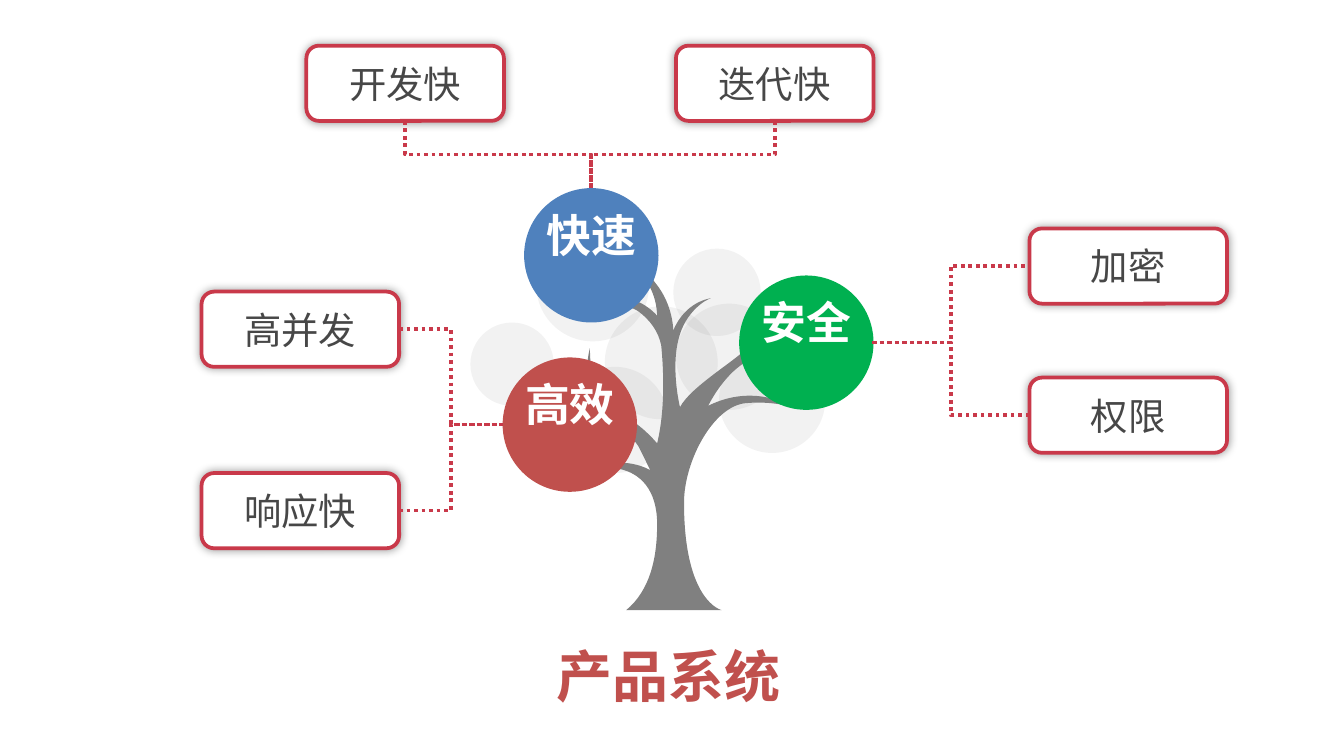
from lxml.etree import SubElement
from pptx import Presentation
from pptx.dml.color import RGBColor
from pptx.enum.dml import MSO_LINE_DASH_STYLE as Dash
from pptx.enum.shapes import MSO_CONNECTOR as Connector, MSO_SHAPE as Shape
from pptx.enum.text import MSO_ANCHOR as Anchor, PP_ALIGN as Align
from pptx.oxml.ns import qn
from pptx.util import Inches, Pt

WHITE = RGBColor(0xFF, 0xFF, 0xFF)
GRAY = RGBColor(0x80, 0x80, 0x80)
TEXT = RGBColor(0x47, 0x47, 0x47)
CRIMSON = RGBColor(0xC9, 0x39, 0x4A)
BLUE = RGBColor(0x4F, 0x81, 0xBD)
RED = RGBColor(0xC0, 0x50, 0x4D)
GREEN = RGBColor(0x00, 0xB0, 0x50)
FONT = "Noto Sans CJK SC"
BOX_WIDTH, BOX_HEIGHT, CIRCLE_SIZE = 1.47, 0.56, 1

# Pale foliage: left, top, size
LEAVES = [
    (3.99, 1.7, 0.84), (5.01, 1.85, 0.65), (4.5, 2.28, 0.84), (5.03, 2.26, 0.79),
    (5.35, 2.58, 0.79), (4.18, 2.73, 0.79), (3.5, 2.4, 0.62),
]

# Tree outline in hundredths of an inch: two control points and an end per curve
TREE_START = (466, 454)
TREE_CURVES = [
    (544, 454, 537, 454, 537, 454), (537, 454, 509, 448, 509, 374),
    (509, 343, 531, 302, 555, 300), (578, 298, 592, 304, 592, 304),
    (592, 304, 563, 284, 527, 302), (527, 302, 536, 283, 551, 272),
    (567, 260, 589, 259, 595, 260), (595, 260, 577, 254, 558, 263),
    (558, 263, 573, 252, 563, 224), (563, 224, 566, 249, 556, 259),
    (545, 270, 514, 288, 506, 303), (506, 303, 499, 275, 505, 252),
    (510, 232, 525, 223, 529, 222), (529, 222, 510, 224, 501, 246),
    (501, 246, 501, 227, 488, 211), (476, 194, 462, 191, 457, 190),
    (457, 190, 488, 201, 489, 235), (489, 235, 481, 225, 467, 222),
    (454, 219, 441, 222, 434, 220), (427, 219, 420, 213, 418, 210),
    (418, 210, 422, 219, 437, 224), (450, 228, 464, 225, 474, 231),
    (484, 238, 490, 247, 492, 257), (493, 267, 496, 301, 489, 330),
    (489, 330, 481, 320, 470, 313), (459, 305, 448, 295, 444, 289),
    (440, 283, 439, 268, 439, 259), (439, 259, 433, 280, 442, 293),
    (442, 293, 422, 283, 399, 295), (399, 295, 426, 289, 442, 299),
    (459, 310, 470, 325, 475, 332), (479, 340, 484, 350, 484, 350),
    (484, 350, 459, 334, 429, 356), (429, 356, 447, 347, 461, 349),
    (476, 352, 489, 364, 489, 390), (489, 415, 484, 439, 466, 454),
]


def write(frame, text, size, color, font=FONT, bold=False, anchor=Anchor.TOP):
    frame.vertical_anchor = anchor
    para = frame.paragraphs[0]
    para.alignment = Align.CENTER
    span = para.add_run()
    span.text = text
    span.font.size, span.font.bold, span.font.name = Pt(size), bold, font
    span.font.color.rgb = color
    SubElement(span.font._element, qn("a:ea"), typeface=FONT)


def paint(shape, color):
    shape.shadow.inherit = False
    shape.fill.solid()
    shape.fill.fore_color.rgb = color
    shape.line.fill.background()


def add_shape(page, kind, left, top, width, height, color):
    shape = page.shapes.add_shape(
        kind, Inches(left), Inches(top), Inches(width), Inches(height))
    paint(shape, color)
    return shape


def add_leaf(page, left, top, size):
    leaf = add_shape(page, Shape.OVAL, left, top, size, size, GRAY)
    color = leaf._element.spPr.find(qn("a:solidFill"))[0]
    SubElement(color, qn("a:alpha"), val="10000")


def add_tree(page):
    points = [curve[i:i + 2] for curve in TREE_CURVES for i in (0, 2, 4)]
    builder = page.shapes.build_freeform(*TREE_START, scale=Inches(0.01))
    builder.add_line_segments(points, close=True)
    tree = builder.convert_to_shape()
    # Turn every three straight segments into one Bezier curve
    lines = list(tree._element.iter(qn("a:lnTo")))[:len(points)]
    for i in range(0, len(lines), 3):
        curve = lines[i].makeelement(qn("a:cubicBezTo"))
        lines[i].addprevious(curve)
        for line in lines[i:i + 3]:
            curve.append(line[0])
            line.getparent().remove(line)
    paint(tree, GRAY)


def add_circle(page, text, left, top, color):
    circle = add_shape(page, Shape.OVAL, left, top, CIRCLE_SIZE, CIRCLE_SIZE, color)
    frame = circle.text_frame
    frame.margin_left = frame.margin_right = frame.margin_top = frame.margin_bottom = 0
    write(frame, text, 24, WHITE, font="Calibri", bold=True)


def add_box(page, text, left, top):
    box = add_shape(page, Shape.ROUNDED_RECTANGLE, left, top, BOX_WIDTH, BOX_HEIGHT, WHITE)
    box.line.color.rgb = CRIMSON
    box.line.width = Pt(2)
    effects = box._element.spPr.find(qn("a:effectLst"))
    glow = SubElement(effects, qn("a:outerShdw"), blurRad=str(Pt(5)), dist="0",
                      dir="0", algn="ctr", rotWithShape="0")
    color = SubElement(glow, qn("a:srgbClr"), val="000000")
    SubElement(color, qn("a:alpha"), val="40000")
    write(box.text_frame, text, 20, TEXT, anchor=Anchor.MIDDLE)
    return box


def add_elbow(page, x1, y1, x2, y2):
    link = page.shapes.add_connector(
        Connector.ELBOW, Inches(x1), Inches(y1), Inches(x2), Inches(y2))
    link.line.color.rgb = CRIMSON
    link.line.width = Pt(2)
    link.line.dash_style = Dash.ROUND_DOT
    SubElement(link._element.spPr, qn("a:effectLst"))
    return link


def link_sideways(page, box, side, x, y, from_circle):
    link = add_elbow(page, x, y, x, y)
    join = link.end_connect if from_circle else link.begin_connect
    join(box, side)


def link_down(page, box, x, y):
    """Elbow from the bottom of a box: a sideways elbow turned a quarter."""
    start_x = (box.left + box.width / 2) / Inches(1)
    start_y = (box.top + box.height) / Inches(1)
    mid_x, mid_y = (start_x + x) / 2, (start_y + y) / 2
    half_run, half_rise = (y - start_y) / 2, (start_x - x) / 2
    link = add_elbow(page, mid_x - half_run, mid_y - half_rise,
                     mid_x + half_run, mid_y + half_rise)
    link._element.spPr.find(qn("a:xfrm")).set("rot", "5400000")


def add_title(page, text):
    title = page.shapes.title
    title.left, title.top = Inches(4.04), Inches(4.72)
    title.width, title.height = Inches(1.87), Inches(0.6)
    title.text_frame.word_wrap = False
    write(title.text_frame, text, 30, RED, bold=True)


def main():
    deck = Presentation()
    deck.slide_width = Inches(10)
    deck.slide_height = deck.slide_width * 9 // 16
    page = deck.slides.add_slide(deck.slide_layouts[5])

    # Tree with foliage
    for leaf in LEAVES:
        add_leaf(page, *leaf)
    add_tree(page)

    # Main qualities and title
    add_circle(page, "快速", 3.9, 1.4, BLUE)
    add_circle(page, "高效", 3.74, 2.66, RED)
    add_circle(page, "安全", 5.5, 2.05, GREEN)
    add_title(page, "产品系统")

    # Details above the top circle
    for text, left in (("开发快", 2.28), ("迭代快", 5.03)):
        link_down(page, add_box(page, text, left, 0.34), 4.4, 1.4)

    # Details beside the left and right circles
    for text, left, top, side, x, y, from_circle in (
        ("高并发", 1.5, 2.17, 3, 3.74, 3.16, False),
        ("响应快", 1.5, 3.52, 3, 3.74, 3.16, False),
        ("加密", 7.66, 1.7, 1, 6.49, 2.55, True),
        ("权限", 7.66, 2.81, 1, 6.49, 2.55, False),
    ):
        link_sideways(page, add_box(page, text, left, top), side, x, y, from_circle)

    deck.save("out.pptx")


if __name__ == "__main__":
    main()
